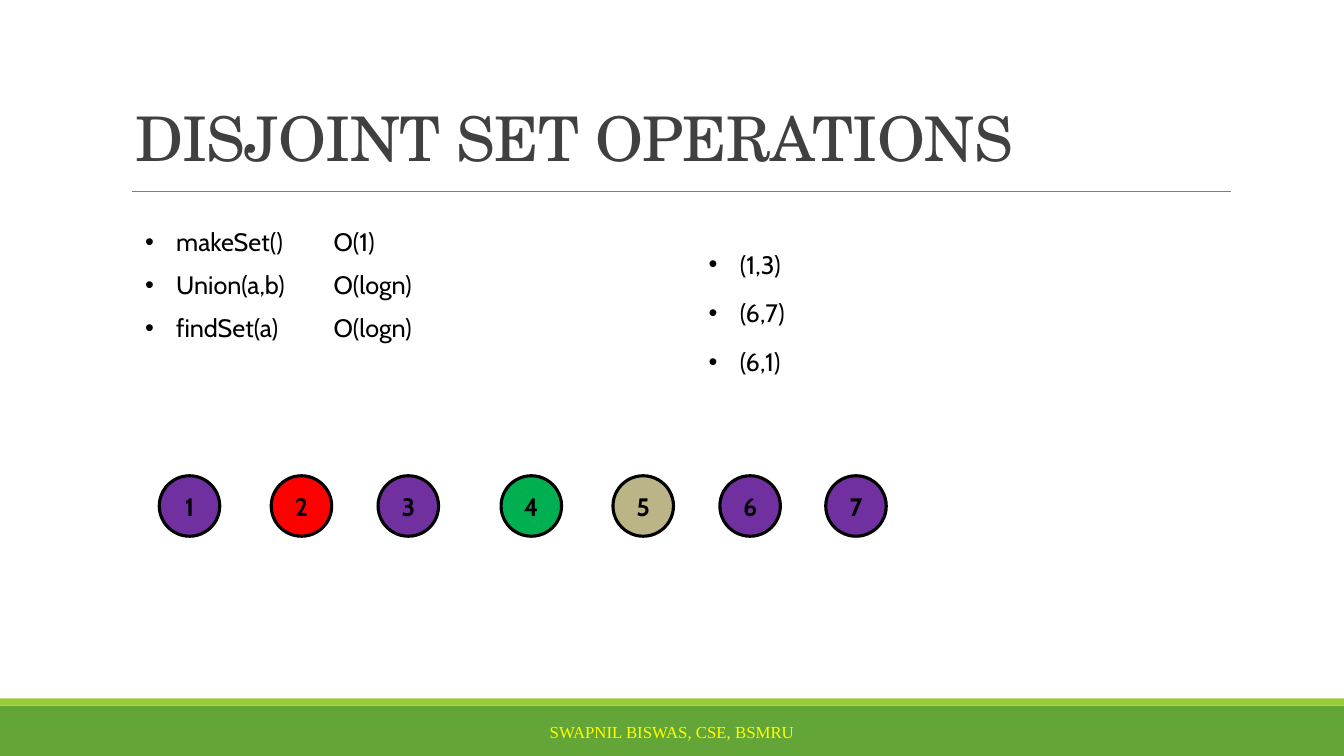
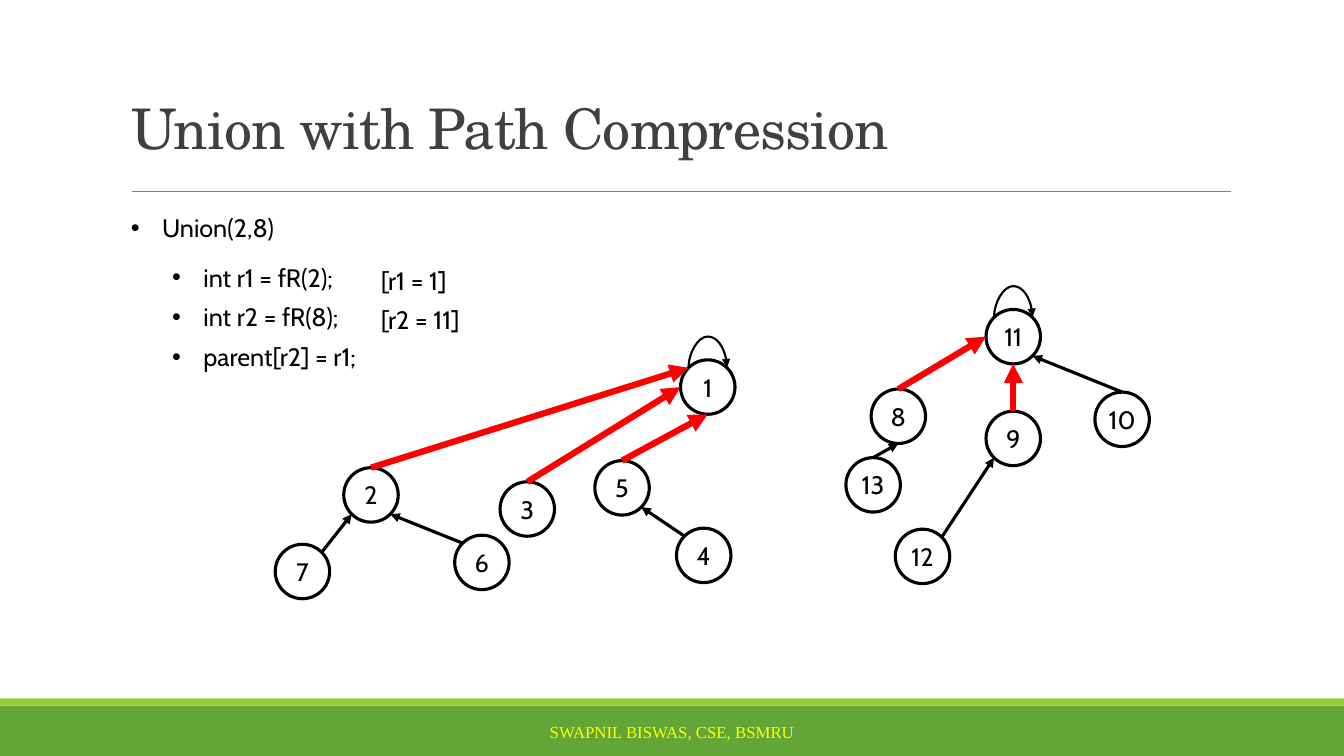
from math import cos, radians, sin

from lxml.etree import SubElement
from pptx import Presentation
from pptx.dml.color import RGBColor
from pptx.enum.shapes import MSO_CONNECTOR as LINK, MSO_SHAPE as SHAPE
from pptx.enum.text import MSO_ANCHOR as ANCHOR, MSO_AUTO_SIZE as FIT, PP_ALIGN as ALIGN
from pptx.oxml.ns import qn
from pptx.util import Inches, Pt

COLORS = {
    "band": "63A537", "stripe": "99CB38", "rule": "808080", "title": "404040",
    "footer": "FFFF00", "ink": "000000", "paper": "FFFFFF", "path": "FF0000",
    "purple": "7030A0", "red": "FF0000", "green": "00B050", "sand": "BBB487",
}
TITLE_FONT, BODY_FONT, FOOTER_FONT = "TeX Gyre Schola", "Cabin", "Times New Roman"
BODY_SIZE, LINE_HEIGHT = 18, 22  # points
INDENT = 0.31
# Connection sites of an ellipse, counter-clockwise from the top
TOP, TOP_LEFT, LEFT, BOTTOM_LEFT, BOTTOM, BOTTOM_RIGHT, RIGHT, TOP_RIGHT = range(8)


def rgb(name):
    return RGBColor.from_string(COLORS[name])


def set_font(paragraph, face, size, color, bold=False):
    font = paragraph.font
    font.name, font.size, font.bold = face, Pt(size), bold
    font.color.rgb = rgb(color)


def add_filled(slide, kind, box, color):
    shape = slide.shapes.add_shape(kind, *map(Inches, box))
    shape.shadow.inherit = False
    shape.fill.solid()
    shape.fill.fore_color.rgb = rgb(color)
    shape.line.fill.background()
    return shape


def add_link(slide, kind, start, end, color, width, arrow=True):
    link = slide.shapes.add_connector(kind, *map(Inches, (*start, *end)))
    link.line.color.rgb = rgb(color)
    link.line.width = Pt(width)
    if arrow:
        SubElement(link.line._get_or_add_ln(), qn("a:tailEnd"), type="triangle")
    SubElement(link._element.spPr, qn("a:effectLst"))
    return link


def add_lines(slide, left, top, width, lines, pitch=0.4, bulleted=True):
    """Place lines of body text, pitch inches apart, as a list or plain."""
    box = slide.shapes.add_textbox(*map(Inches, (left, top, width, pitch * len(lines))))
    frame = box.text_frame
    frame.word_wrap = True
    frame.text = "\n".join(lines)
    for paragraph in frame.paragraphs:
        set_font(paragraph, BODY_FONT, BODY_SIZE, "ink")
        paragraph.space_after = Pt(round(pitch * 72 - LINE_HEIGHT, 1))
        if bulleted:
            props = paragraph._p.get_or_add_pPr()
            props.set("marL", str(Inches(INDENT)))
            props.set("indent", str(-Inches(INDENT)))
            bullet_font = SubElement(props, qn("a:buFont"), typeface="Arial")
            bullet_font.addnext(props.makeelement(qn("a:buChar"), {"char": "•"}))
            # Run defaults come last in paragraph properties
            defaults = props.find(qn("a:defRPr"))
            if defaults is not None:
                props.append(defaults)


def add_node(slide, left, top, size, label, color="paper", bold=False):
    node = add_filled(slide, SHAPE.OVAL, (left, top, size, size), color)
    node.line.color.rgb = rgb("ink")
    node.line.width = Pt(2.25)
    frame = node.text_frame
    frame.margin_left = frame.margin_right = frame.margin_top = frame.margin_bottom = 0
    frame.word_wrap = False
    frame.vertical_anchor = ANCHOR.MIDDLE
    frame.text = str(label)
    paragraph = frame.paragraphs[0]
    paragraph.alignment = ALIGN.CENTER
    set_font(paragraph, BODY_FONT, BODY_SIZE, "ink", bold)
    return node


def site_point(node, site):
    """Return a connection site of a round node, in inches."""
    angle, radius = radians(90 + 45 * site), node.width / 2
    x = node.left + radius * (1 + cos(angle))
    y = node.top + radius * (1 - sin(angle))
    return x / Inches(1), y / Inches(1)


def glue(link, start, start_site, end, end_site):
    """Join a connector to any of the eight sites of its nodes."""
    props = link._element.find(".//" + qn("p:cNvCxnSpPr"))
    for tag, node, site in (("a:stCxn", start, start_site), ("a:endCxn", end, end_site)):
        SubElement(props, qn(tag), id=str(node.shape_id), idx=str(site))


def add_edge(slide, child, child_site, parent, parent_site, color="ink", width=2.25):
    link = add_link(slide, LINK.STRAIGHT, site_point(child, child_site),
                    site_point(parent, parent_site), color, width)
    glue(link, child, child_site, parent, parent_site)


def add_self_loop(slide, root, rise=0.32, depth=0.01):
    """Arch an arrow over a root, from its upper left to its upper right."""
    (x1, y), (x2, _) = site_point(root, TOP_LEFT), site_point(root, TOP_RIGHT)
    middle, span = (x1 + x2) / 2, x2 - x1
    loop = add_link(slide, LINK.CURVE, (middle - depth / 2, y - span / 2),
                    (middle + depth / 2, y + span / 2), "ink", 1.5)
    glue(loop, root, TOP_LEFT, root, TOP_RIGHT)
    frame = loop._element.spPr.find(qn("a:xfrm"))
    for key, value in (("rot", "5400000"), ("flipH", "1"), ("flipV", "1")):
        frame.set(key, value)
    guides = loop._element.find(".//" + qn("a:avLst"))
    SubElement(guides, qn("a:gd"), name="adj1", fmla=f"val {round(rise / depth * 100000)}")


def add_base(deck, title, box, size):
    """Add a slide with the shared bands, rule, title style and footer."""
    slide = deck.slides.add_slide(deck.slide_layouts[5])
    add_filled(slide, SHAPE.RECTANGLE, (0, 7, 13.33, 0.5), "band")
    add_filled(slide, SHAPE.RECTANGLE, (0, 6.93, 13.33, 0.07), "stripe")
    add_link(slide, LINK.STRAIGHT, (1.31, 1.9), (12.21, 1.9), "rule", 0.5, arrow=False)

    heading = slide.shapes.title
    heading.left, heading.top, heading.width, heading.height = map(Inches, box)
    frame = heading.text_frame
    frame.text = title
    frame.auto_size = FIT.NONE
    frame.vertical_anchor = ANCHOR.BOTTOM
    paragraph = frame.paragraphs[0]
    paragraph.alignment = ALIGN.LEFT
    paragraph.line_spacing = 0.85
    set_font(paragraph, TITLE_FONT, size, "title")
    paragraph.runs[0]._r.get_or_add_rPr().set("spc", "-50")

    footer = slide.shapes.add_textbox(*map(Inches, (4.03, 7.06, 5.27, 0.4))).text_frame
    footer.word_wrap = True
    footer.vertical_anchor = ANCHOR.MIDDLE
    footer.text = "SWAPNIL BISWAS, CSE, BSMRU"
    footer.paragraphs[0].alignment = ALIGN.CENTER
    set_font(footer.paragraphs[0], FOOTER_FONT, 12, "footer")
    return slide


def add_set_row(slide, top, size=0.6):
    members = ((1.58, "purple"), (2.69, "red"), (3.75, "purple"), (4.97, "green"),
               (6.08, "sand"), (7.14, "purple"), (8.19, "purple"))
    for number, (left, color) in enumerate(members, start=1):
        add_node(slide, left, top, size, number, color, bold=True)


def add_forest(slide, left, top, size=0.54):
    """Draw both trees; node places are relative to the forest's corner."""
    places = {
        1: (4.02, 0.5), 2: (0.68, 1.57), 3: (2.23, 1.71), 4: (3.98, 2.17),
        5: (3.17, 1.5), 6: (1.78, 2.24), 7: (0, 2.33), 8: (5.91, 0.79),
        9: (7.05, 1.01), 10: (8.13, 0.82), 11: (7.05, 0), 12: (6.15, 2.18),
        13: (5.66, 1.47),
    }
    nodes = {number: add_node(slide, left + x, top + y, size, number)
             for number, (x, y) in places.items()}
    for root in (1, 11):
        add_self_loop(slide, nodes[root])

    plain_edges = (
        (12, TOP_RIGHT, 9, BOTTOM_LEFT), (4, TOP_LEFT, 5, BOTTOM_RIGHT),
        (6, TOP_LEFT, 2, BOTTOM_RIGHT), (10, TOP, 11, BOTTOM_RIGHT),
        (13, TOP, 8, BOTTOM), (7, TOP_RIGHT, 2, BOTTOM_LEFT),
    )
    path_edges = (
        (2, TOP, 1, TOP_LEFT), (3, TOP, 1, LEFT), (5, TOP, 1, BOTTOM),
        (8, TOP, 11, LEFT), (9, TOP, 11, BOTTOM),
    )
    for edges, color, width in ((plain_edges, "ink", 2.25), (path_edges, "path", 4.5)):
        for child, child_site, parent, parent_site in edges:
            add_edge(slide, nodes[child], child_site, nodes[parent], parent_site,
                     color, width)


def build_operations(deck):
    slide = add_base(deck, "DISJOINT SET OPERATIONS", (1.24, 0.19, 11.46, 1.59), 44)
    add_lines(slide, 1.34, 2.2, 1.8, ("makeSet()", "Union(a,b)", "findSet(a)"), 0.43)
    add_lines(slide, 3.21, 2.2, 1.3, ("O(1)", "O(logn)", "O(logn)"), 0.43, bulleted=False)
    add_lines(slide, 6.93, 2.42, 1.3, ("(1,3)", "(6,7)", "(6,1)"), 0.49)
    add_set_row(slide, 4.72)


def build_compression(deck):
    slide = add_base(deck, "Union with Path Compression", (1.2, 0.06, 11, 1.59), 40)
    add_lines(slide, 1.2, 2.06, 1.9, ("Union(2,8)",))
    add_lines(slide, 1.61, 2.55, 2.3,
              ("int r1 = fR(2);", "int r2 = fR(8);", "parent[r2] = r1;"))
    add_lines(slide, 3.68, 2.58, 1.4, ("[r1 = 1]", "[r2 = 11]"), bulleted=False)
    add_forest(slide, 2.73, 3.07)


def main():
    deck = Presentation()
    deck.slide_width, deck.slide_height = Inches(13.33), Inches(7.5)
    build_operations(deck)
    build_compression(deck)
    deck.save("out.pptx")


if __name__ == "__main__":
    main()
